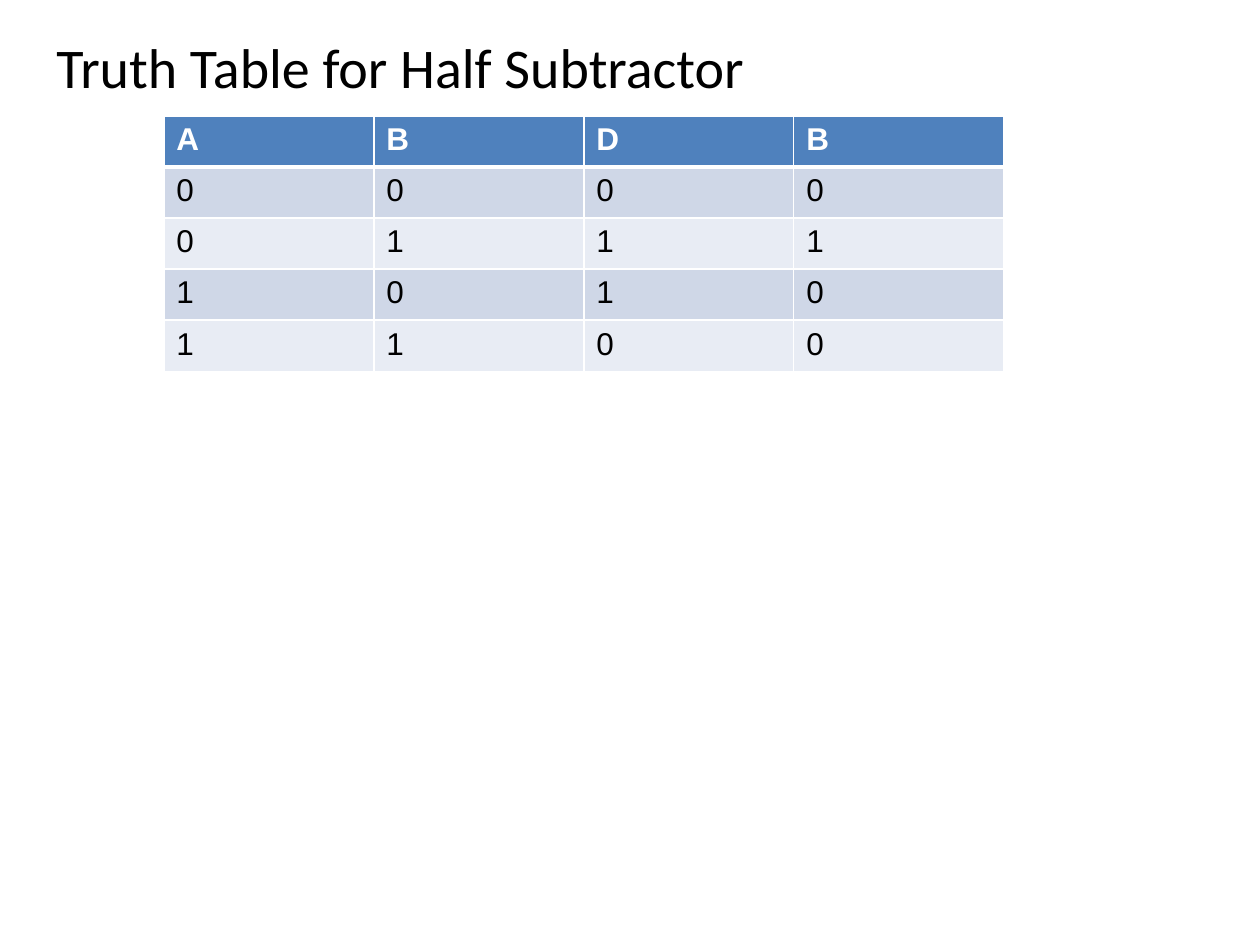
from dataclasses import dataclass

from lxml import etree
from pptx import Presentation
from pptx.dml.color import RGBColor
from pptx.enum.text import MSO_ANCHOR
from pptx.oxml.ns import qn
from pptx.util import Pt

TOP = MSO_ANCHOR.TOP
BLACK = RGBColor(0x00, 0x00, 0x00)
WHITE = RGBColor(0xFF, 0xFF, 0xFF)
HEADER_BLUE = RGBColor(0x4F, 0x81, 0xBD)
BAND_DARK = RGBColor(0xCF, 0xD7, 0xE7)
BAND_LIGHT = RGBColor(0xE8, 0xEC, 0xF4)

TRUTH_TABLE = ("ABDB", "0000", "0111", "1010", "1100")
COL_WIDTH = Pt(120)
ROW_HEIGHT = Pt(29.2)
THIN = Pt(1)
THICK = Pt(3)


@dataclass(frozen=True)
class RowStyle:
    fill: RGBColor
    color: RGBColor
    bold: bool
    top: int
    bottom: int


HEADER = RowStyle(HEADER_BLUE, WHITE, True, THIN, THICK)
FIRST = RowStyle(BAND_DARK, BLACK, False, THICK, THIN)
DARK = RowStyle(BAND_DARK, BLACK, False, THIN, THIN)
LIGHT = RowStyle(BAND_LIGHT, BLACK, False, THIN, THIN)
ROW_STYLES = (HEADER, FIRST, LIGHT, DARK, LIGHT)


def set_borders(cell, style: RowStyle) -> None:
    tc_pr = cell._tc.get_or_add_tcPr()
    widths = {"L": THIN, "R": THIN, "T": style.top, "B": style.bottom}
    for side, width in widths.items():
        ln = etree.SubElement(tc_pr, qn(f"a:ln{side}"), w=str(int(width)))
        fill = etree.SubElement(ln, qn("a:solidFill"))
        etree.SubElement(fill, qn("a:srgbClr"), val=str(WHITE))


def draw_cell(cell, text: str, style: RowStyle) -> None:
    set_borders(cell, style)
    cell.fill.solid()
    cell.fill.fore_color.rgb = style.fill
    cell.text = text
    font = cell.text_frame.paragraphs[0].font
    font.name = "Arial"
    font.size = Pt(18)
    font.bold = style.bold
    font.color.rgb = style.color


def draw_title(s, text: str) -> None:
    tf = s.shapes.add_textbox(Pt(25.2), Pt(15.1), Pt(648), Pt(209.5)).text_frame
    tf.word_wrap = True
    tf.vertical_anchor = TOP
    p = tf.paragraphs[0]
    p.text = text
    p.font.name = "Calibri"
    p.font.size = Pt(32)
    p.font.color.rgb = BLACK


def draw_truth_table(s) -> None:
    rows, cols = len(TRUTH_TABLE), len(TRUTH_TABLE[0])
    table = s.shapes.add_table(
        rows, cols, Pt(93.6), Pt(66.2), COL_WIDTH * cols, ROW_HEIGHT * rows
    ).table
    for column in table.columns:
        column.width = COL_WIDTH
    for row, values, style in zip(table.rows, TRUTH_TABLE, ROW_STYLES):
        row.height = ROW_HEIGHT
        for cell, value in zip(row.cells, values):
            draw_cell(cell, value, style)


def main() -> None:
    prs = Presentation()
    prs.slide_width = Pt(720)
    prs.slide_height = Pt(540)
    s = prs.slides.add_slide(prs.slide_layouts[6])
    draw_title(s, "Truth Table for Half Subtractor")
    draw_truth_table(s)
    prs.save("out.pptx")


if __name__ == "__main__":
    main()
